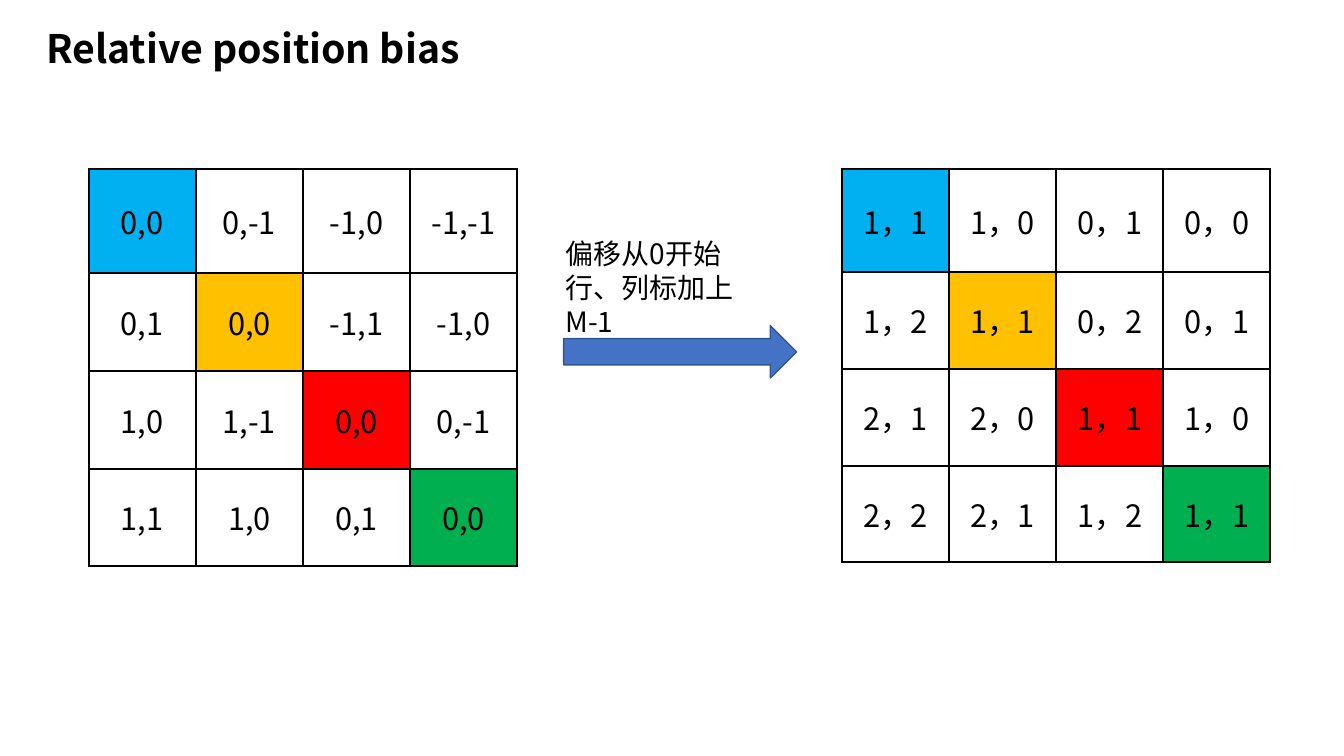
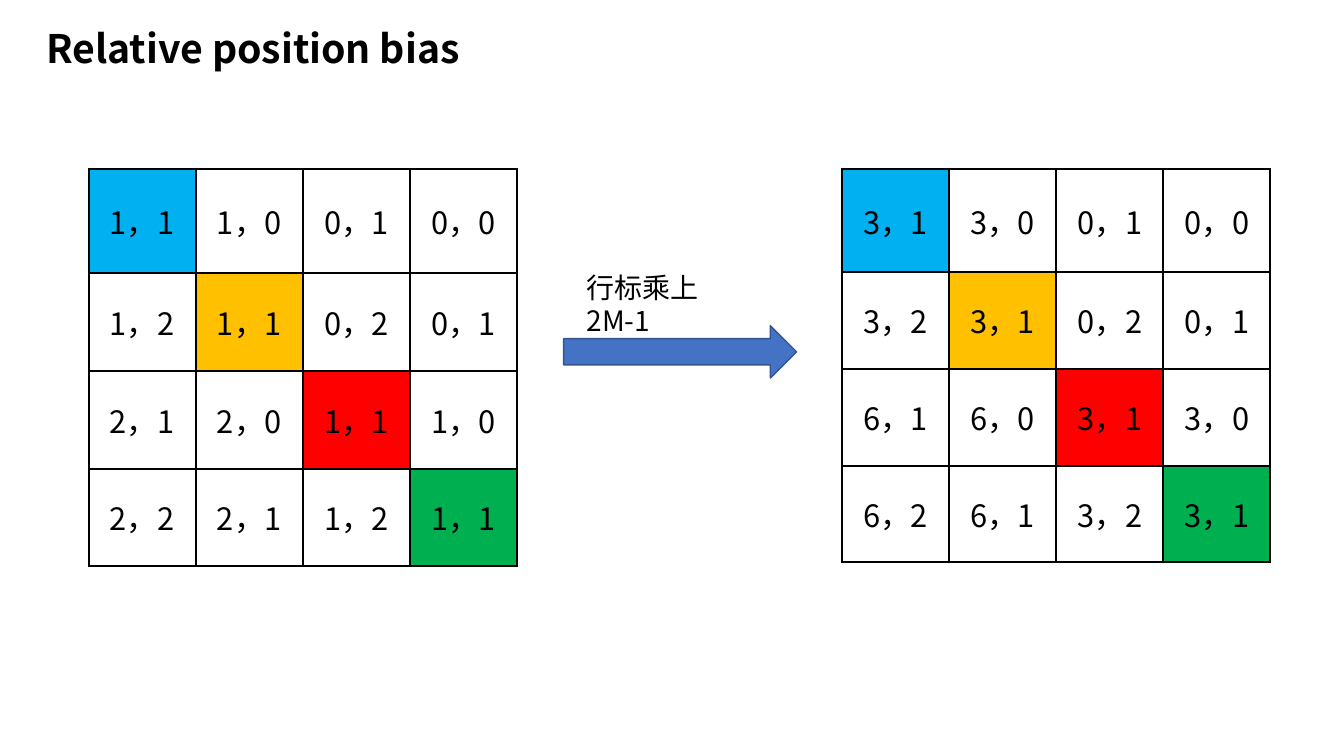
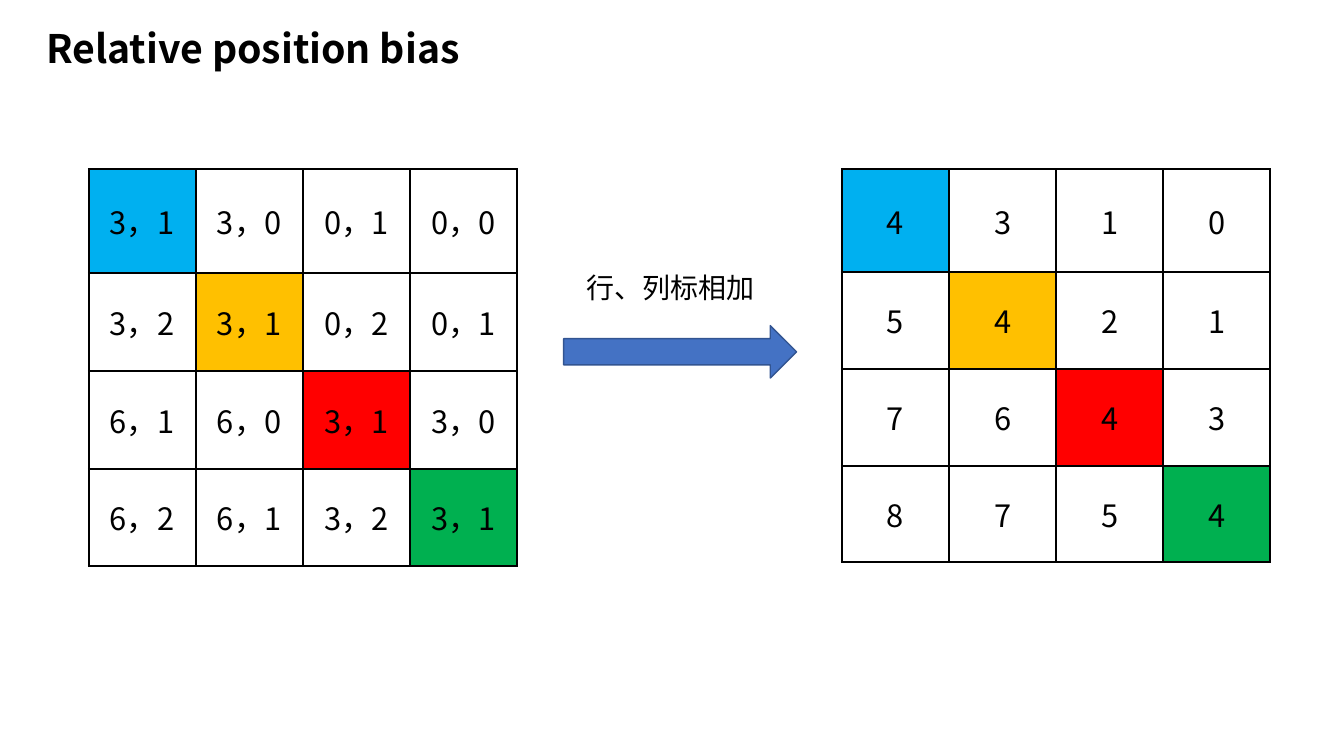
from pptx import Presentation
from pptx.dml.color import RGBColor
from pptx.enum.shapes import MSO_SHAPE as Shape
from pptx.enum.text import MSO_ANCHOR as Anchor, MSO_AUTO_SIZE as Auto, PP_ALIGN as Align
from pptx.oxml import parse_xml
from pptx.oxml.ns import nsdecls
from pptx.util import Pt

# Content: each step turns one grid into the next
TITLE = "Relative position bias"
GRIDS = [
    ["0,0 0,-1 -1,0 -1,-1", "0,1 0,0 -1,1 -1,0",
     "1,0 1,-1 0,0 0,-1", "1,1 1,0 0,1 0,0"],
    ["1，1 1，0 0，1 0，0", "1，2 1，1 0，2 0，1",
     "2，1 2，0 1，1 1，0", "2，2 2，1 1，2 1，1"],
    ["3，1 3，0 0，1 0，0", "3，2 3，1 0，2 0，1",
     "6，1 6，0 3，1 3，0", "6，2 6，1 3，2 3，1"],
    ["4 3 1 0", "5 4 2 1", "7 6 4 3", "8 7 5 4"],
]
STEPS = [
    (["偏移从0开始", "行、列标加上M-1"], (551, 230, 231, 77)),
    (["行标乘上2M-1"], (572, 263, 188, 44)),
    (["行、列标相加"], (572, 263, 188, 44)),
]

# Shared look
PX = 9144  # 100 px to the inch
FACE = "Noto Sans CJK SC"
BLACK, BLUE, EDGE = "000000", "4472C4", "325491"
DIAG = ["00B0F0", "FFC000", "FF0000", "00B050"]
HEAD = {"size": Pt(28), "bold": True}
NOTE = {"size": Pt(20)}
CELL = {"size": Pt(22)}
INSET = {"margin_left": 12 * PX, "margin_right": 12 * PX,
         "margin_top": 6 * PX, "margin_bottom": 6 * PX,
         "vertical_anchor": Anchor.MIDDLE}
TITLE_BOX = (36, 19, 477, 57)
ARROW_BOX = (559, 323, 231, 52)
TOP, WIDE = 168, 425
LEFT = (88, 103, 97)    # x, first row height, other row heights
RIGHT = (835, 102, 96)


def rgb(code):
    return RGBColor.from_string(code)


def emu(box):
    return [n * PX for n in box]


def put(obj, look):
    for key, val in look.items():
        setattr(obj, key, val)


def write(para, text, look):
    run = para.add_run()
    run.text = text
    put(run.font, {"name": FACE, **look})
    run.font.color.rgb = rgb(BLACK)
    run.font._element.append(
        parse_xml(f'<a:ea {nsdecls("a")} typeface="{FACE}"/>'))


def add_text(slide, box, lines, look):
    frame = slide.shapes.add_textbox(*emu(box)).text_frame
    put(frame, {"word_wrap": True, "auto_size": Auto.SHAPE_TO_FIT_TEXT})
    for i, line in enumerate(lines):
        para = frame.add_paragraph() if i else frame.paragraphs[0]
        write(para, line, look)


def add_edges(cell):
    props = cell._tc.get_or_add_tcPr()
    for side in "LRTB":
        props.append(parse_xml(
            f'<a:ln{side} {nsdecls("a")} w="{Pt(1.5)}"><a:solidFill>'
            f'<a:srgbClr val="{BLACK}"/></a:solidFill></a:ln{side}>'))


def add_grid(slide, spot, grid):
    x, first, rest = spot
    rows = [line.split() for line in grid]
    count = len(rows)
    tall = first + rest * (count - 1)
    table = slide.shapes.add_table(
        count, count, *emu((x, TOP, WIDE, tall))).table
    put(table, {"first_row": False, "horz_banding": False})
    for col in table.columns:
        col.width = WIDE * PX // count
    for r, row in enumerate(rows):
        table.rows[r].height = (rest if r else first) * PX
        for c, text in enumerate(row):
            cell = table.cell(r, c)
            put(cell, INSET)
            add_edges(cell)
            if r == c:
                cell.fill.solid()
                cell.fill.fore_color.rgb = rgb(DIAG[r])
            else:
                cell.fill.background()
            para = cell.text_frame.paragraphs[0]
            para.alignment = Align.CENTER
            write(para, text, CELL)


def add_arrow(slide):
    arrow = slide.shapes.add_shape(Shape.RIGHT_ARROW, *emu(ARROW_BOX))
    arrow.shadow.inherit = False
    arrow.fill.solid()
    arrow.fill.fore_color.rgb = rgb(BLUE)
    arrow.line.color.rgb = rgb(EDGE)
    arrow.line.width = Pt(1)


def main():
    deck = Presentation()
    put(deck, {"slide_width": 1333 * PX, "slide_height": 750 * PX})
    for i, (lines, box) in enumerate(STEPS):
        slide = deck.slides.add_slide(deck.slide_layouts[6])
        add_text(slide, TITLE_BOX, [TITLE], HEAD)
        add_arrow(slide)
        add_grid(slide, LEFT, GRIDS[i])
        add_text(slide, box, lines, NOTE)
        add_grid(slide, RIGHT, GRIDS[i + 1])
    deck.save("out.pptx")


if __name__ == "__main__":
    main()
